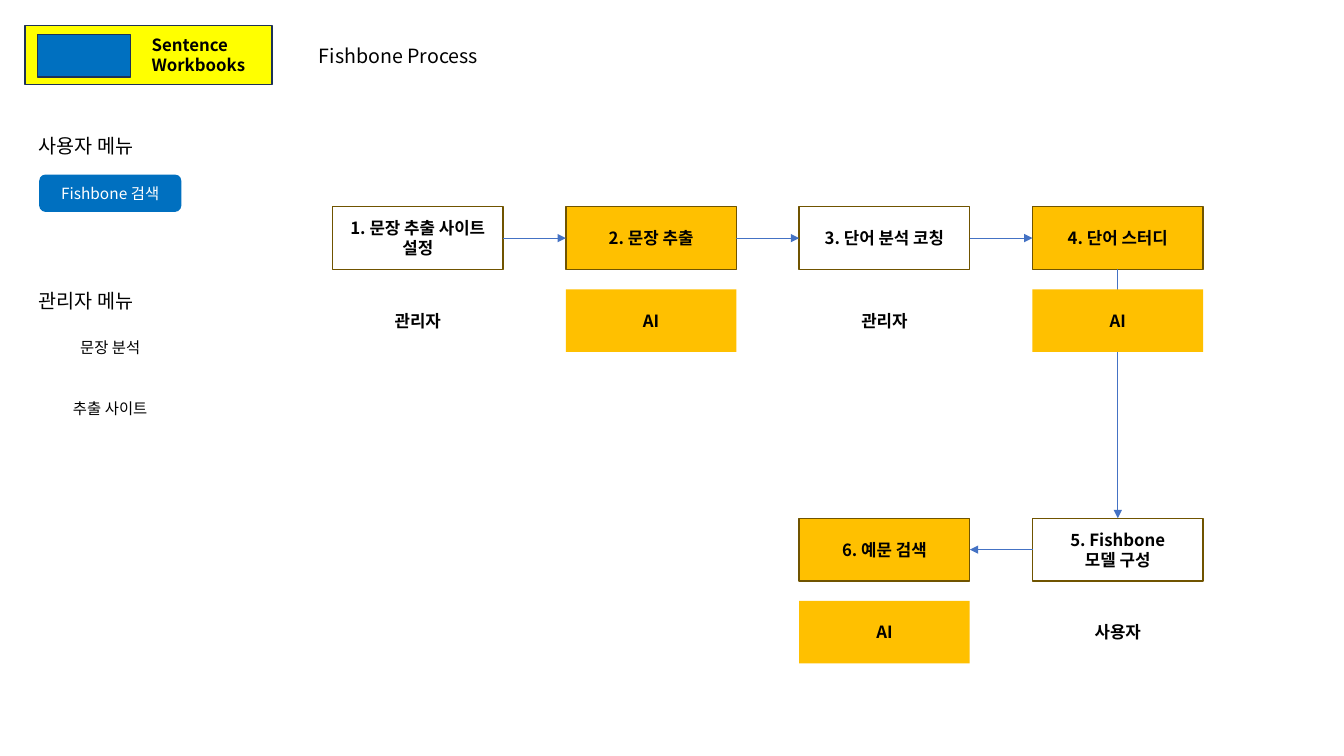
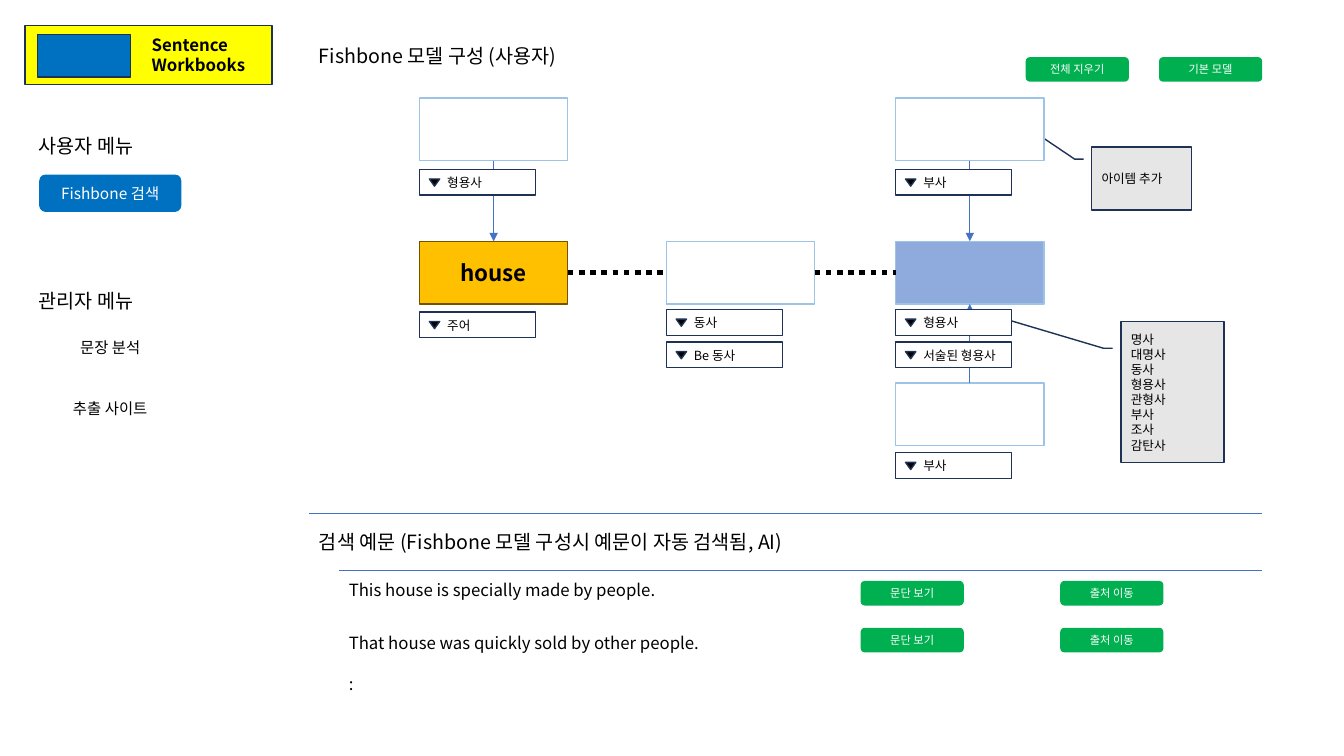
from pptx import Presentation
from pptx.dml.color import RGBColor
from pptx.enum.dml import MSO_LINE
from pptx.enum.shapes import MSO_CONNECTOR, MSO_SHAPE
from pptx.enum.text import MSO_ANCHOR, PP_ALIGN
from pptx.oxml.ns import qn
from pptx.util import Cm, Pt
from lxml import etree

RECT = MSO_SHAPE.RECTANGLE
ROUNDED = MSO_SHAPE.ROUNDED_RECTANGLE
TRIANGLE = MSO_SHAPE.ISOSCELES_TRIANGLE
CALLOUT = MSO_SHAPE.LINE_CALLOUT_2
STRAIGHT = MSO_CONNECTOR.STRAIGHT
DOTTED = MSO_LINE.ROUND_DOT
CENTER, LEFT = PP_ALIGN.CENTER, PP_ALIGN.LEFT
MIDDLE = MSO_ANCHOR.MIDDLE
TOP_SIDE, LEFT_SIDE, BOTTOM_SIDE, RIGHT_SIDE = range(4)

FONT = "Noto Sans CJK KR"
COLORS = {
    "black": "000000", "white": "FFFFFF", "navy": "1E3256",
    "yellow": "FFFF00", "blue": "0070C0", "green": "00B050",
    "amber": "FFC000", "brown": "705400", "arrow": "4472C4",
    "sky": "9DC3E6", "periwinkle": "8FAADC", "gray": "E7E6E6",
}
STEP_W, MODEL_W, BOX_H = 4.3, 3.74, 1.58
STEP_X, STEP_PITCH, ROLE_DROP = 8.38, 5.88, 2.08
CONTENT_X, CONTENT_RIGHT, EXAMPLE_X = 7.79, 31.8, 8.54


def color(name):
    return RGBColor.from_string(COLORS[name])


def write(frame, lines, size, ink="black", bold=False, align=LEFT):
    frame.word_wrap = True
    for index, line in enumerate(lines):
        paragraph = frame.add_paragraph() if index else frame.paragraphs[0]
        paragraph.alignment = align
        run = paragraph.add_run()
        run.text = line
        run.font.size = Pt(size)
        run.font.bold = bold
        run.font.color.rgb = color(ink)
        run.font.name = FONT
        east_asian = etree.SubElement(run._r.get_or_add_rPr(), qn("a:ea"))
        east_asian.set("typeface", FONT)


def add_box(slide, x, y, w, h, fill, line=None, kind=RECT):
    box = slide.shapes.add_shape(kind, Cm(x), Cm(y), Cm(w), Cm(h))
    box.shadow.inherit = False
    box.fill.solid()
    box.fill.fore_color.rgb = color(fill)
    if line:
        box.line.color.rgb = color(line)
        box.line.width = Pt(1)
    else:
        box.line.fill.background()
    box.text_frame.vertical_anchor = MIDDLE
    return box


def add_label(slide, x, y, w, h, lines, size, bold=False, inset=True):
    label = slide.shapes.add_textbox(Cm(x), Cm(y), Cm(w), Cm(h))
    frame = label.text_frame
    if not inset:
        frame.margin_left = frame.margin_right = 0
        frame.margin_top = frame.margin_bottom = 0
    write(frame, lines, size, bold=bold)


def add_button(slide, x, y, w, h, text, size, fill, ink="white"):
    button = add_box(slide, x, y, w, h, fill, kind=ROUNDED)
    write(button.text_frame, [text], size, ink, align=CENTER)


def add_line(slide, x1, y1, x2, y2, ink="arrow", width=0.5):
    line = slide.shapes.add_connector(STRAIGHT, Cm(x1), Cm(y1), Cm(x2), Cm(y2))
    line.line.color.rgb = color(ink)
    line.line.width = Pt(width)
    etree.SubElement(line.element.spPr, qn("a:effectLst"))
    return line


def link(slide, start, start_side, end, end_side, **style):
    line = add_line(slide, 0, 0, 1, 1, **style)
    line.begin_connect(start, start_side)
    line.end_connect(end, end_side)
    return line


def add_arrow(slide, start, start_side, end, end_side):
    arrow = link(slide, start, start_side, end, end_side)
    outline = arrow.element.spPr.find(qn("a:ln"))
    etree.SubElement(outline, qn("a:tailEnd")).set("type", "triangle")


def add_dotted_link(slide, start, end):
    dots = link(slide, start, RIGHT_SIDE, end, LEFT_SIDE, ink="black", width=4)
    dots.line.dash_style = DOTTED


def add_step(slide, column, y, lines, role):
    x = STEP_X + column * STEP_PITCH
    fill = "amber" if role == "AI" else "white"
    step = add_box(slide, x, y, STEP_W, BOX_H, fill, "brown")
    write(step.text_frame, lines, 12, bold=True, align=CENTER)
    return step


def add_role(slide, column, y, role):
    x = STEP_X + column * STEP_PITCH
    fill = "amber" if role == "AI" else "white"
    badge = add_box(slide, x, y + ROLE_DROP, STEP_W, BOX_H, fill)
    write(badge.text_frame, [role], 12, bold=True, align=CENTER)


def add_dropdown(slide, x, y, text):
    add_box(slide, x, y, 2.93, 0.65, "white", "navy")
    marker = add_box(slide, x + 0.25, y + 0.24, 0.26, 0.18, "black", "navy", TRIANGLE)
    marker.rotation = 180
    add_label(slide, x + 0.7, y + 0.14, 2.13, 0.38, [text], 9, inset=False)


def add_callout(slide, x, y, w, h, lines, tip):
    callout = add_box(slide, x, y, w, h, "gray", "navy", CALLOUT)
    for index, value in enumerate((0.19, -0.08, 0.19, -0.17, *tip)):
        callout.adjustments[index] = value
    write(callout.text_frame, lines, 9)


def add_frame(prs, title, title_w):
    slide = prs.slides.add_slide(prs.slide_layouts[6])
    add_box(slide, 0.63, 0.65, 6.23, 1.48, "yellow", "navy")
    add_box(slide, 0.95, 0.87, 2.34, 1.07, "blue", "navy")
    add_label(slide, 3.57, 0.75, 2.93, 1.28, ["Sentence", "Workbooks"], 12, bold=True)
    for y, heading in ((3.25, "사용자 메뉴"), (7.16, "관리자 메뉴")):
        add_label(slide, 0.72, y, 4.03, 0.87, [heading], 14)
    for y, item, fill, ink in (
        (4.4, "Fishbone 검색", "blue", "white"),
        (8.28, "문장 분석", "white", "black"),
        (9.82, "추출 사이트", "white", "black"),
    ):
        add_button(slide, 0.99, y, 3.58, 0.94, item, 11, fill, ink)
    add_label(slide, CONTENT_X, 0.97, title_w, 0.87, [title], 14)
    return slide


def build_process(prs):
    slide = add_frame(prs, "Fishbone Process", 5.79)
    upper, lower = 5.21, 13.06
    stages = (
        (0, upper, ["1. 문장 추출 사이트 설정"], "관리자"),
        (1, upper, ["2. 문장 추출"], "AI"),
        (2, upper, ["3. 단어 분석 코칭"], "관리자"),
        (3, upper, ["4. 단어 스터디"], "AI"),
        (3, lower, ["5. Fishbone", "모델 구성"], "사용자"),
        (2, lower, ["6. 예문 검색"], "AI"),
    )
    steps = [add_step(slide, *stage) for stage in stages]
    for start, end in zip(steps[:3], steps[1:4]):
        add_arrow(slide, start, RIGHT_SIDE, end, LEFT_SIDE)
    add_arrow(slide, steps[3], BOTTOM_SIDE, steps[4], TOP_SIDE)
    add_arrow(slide, steps[4], LEFT_SIDE, steps[5], RIGHT_SIDE)
    for column, y, _, role in stages:
        add_role(slide, column, y, role)


def build_diagram(slide):
    subject_x, verb_x, complement_x = 10.57, 16.79, 22.57
    top, spine, bottom = 2.47, 6.08, 9.65
    add_callout(slide, 27.51, 3.71, 2.52, BOX_H, ["아이템 추가"], (-0.23, -0.56))
    parts_of_speech = ["명사", "대명사", "동사", "형용사", "관형사", "부사", "조사", "감탄사"]
    add_callout(slide, 28.25, 8.1, 2.6, 3.56, parts_of_speech, (-0.01, -1.09))

    def model_box(x, y, fill="white", line="sky"):
        return add_box(slide, x, y, MODEL_W, BOX_H, fill, line)

    subject = model_box(subject_x, spine, "amber", "brown")
    write(subject.text_frame, ["house"], 16, bold=True, align=CENTER)
    verb = model_box(verb_x, spine)
    complement = model_box(complement_x, spine, "periwinkle")
    subject_modifier = model_box(subject_x, top)
    upper_modifier = model_box(complement_x, top)
    lower_modifier = model_box(complement_x, bottom)

    add_dotted_link(slide, subject, verb)
    add_dotted_link(slide, verb, complement)
    add_arrow(slide, subject_modifier, BOTTOM_SIDE, subject, TOP_SIDE)
    add_arrow(slide, upper_modifier, BOTTOM_SIDE, complement, TOP_SIDE)
    add_arrow(slide, lower_modifier, TOP_SIDE, complement, BOTTOM_SIDE)

    for x, y, text in (
        (subject_x, 4.27, "형용사"),
        (subject_x, 7.86, "주어"),
        (verb_x, 7.8, "동사"),
        (verb_x, 8.62, "Be 동사"),
        (complement_x, 4.27, "부사"),
        (complement_x, 7.8, "형용사"),
        (complement_x, 8.62, "서술된 형용사"),
        (complement_x, 11.41, "부사"),
    ):
        add_dropdown(slide, x, y, text)


def build_model(prs):
    slide = add_frame(prs, "Fishbone 모델 구성 (사용자)", 6.67)
    build_diagram(slide)
    add_line(slide, CONTENT_X, 12.94, CONTENT_RIGHT, 12.94)
    heading = "검색 예문 (Fishbone 모델 구성시 예문이 자동 검색됨, AI)"
    add_label(slide, CONTENT_X, 13.24, 13.9, 0.87, [heading], 14)
    add_line(slide, EXAMPLE_X, 14.38, CONTENT_RIGHT, 14.38)
    for y, sentence in (
        (14.48, "This house is specially made by people."),
        (15.82, "That house was quickly sold by other people."),
        (16.85, ":"),
    ):
        add_label(slide, EXAMPLE_X, y, 9.9, 0.77, [sentence], 12)
    actions = [(25.85, 1.44, "전체 지우기"), (29.21, 1.44, "기본 모델")]
    for y in (14.64, 15.82):
        actions += [(21.69, y, "문단 보기"), (26.72, y, "출처 이동")]
    for x, y, text in actions:
        add_button(slide, x, y, 2.6, 0.62, text, 8, "green")


def main():
    prs = Presentation()
    prs.slide_width, prs.slide_height = Cm(33.87), Cm(19.05)
    build_process(prs)
    build_model(prs)
    prs.save("out.pptx")


if __name__ == "__main__":
    main()
